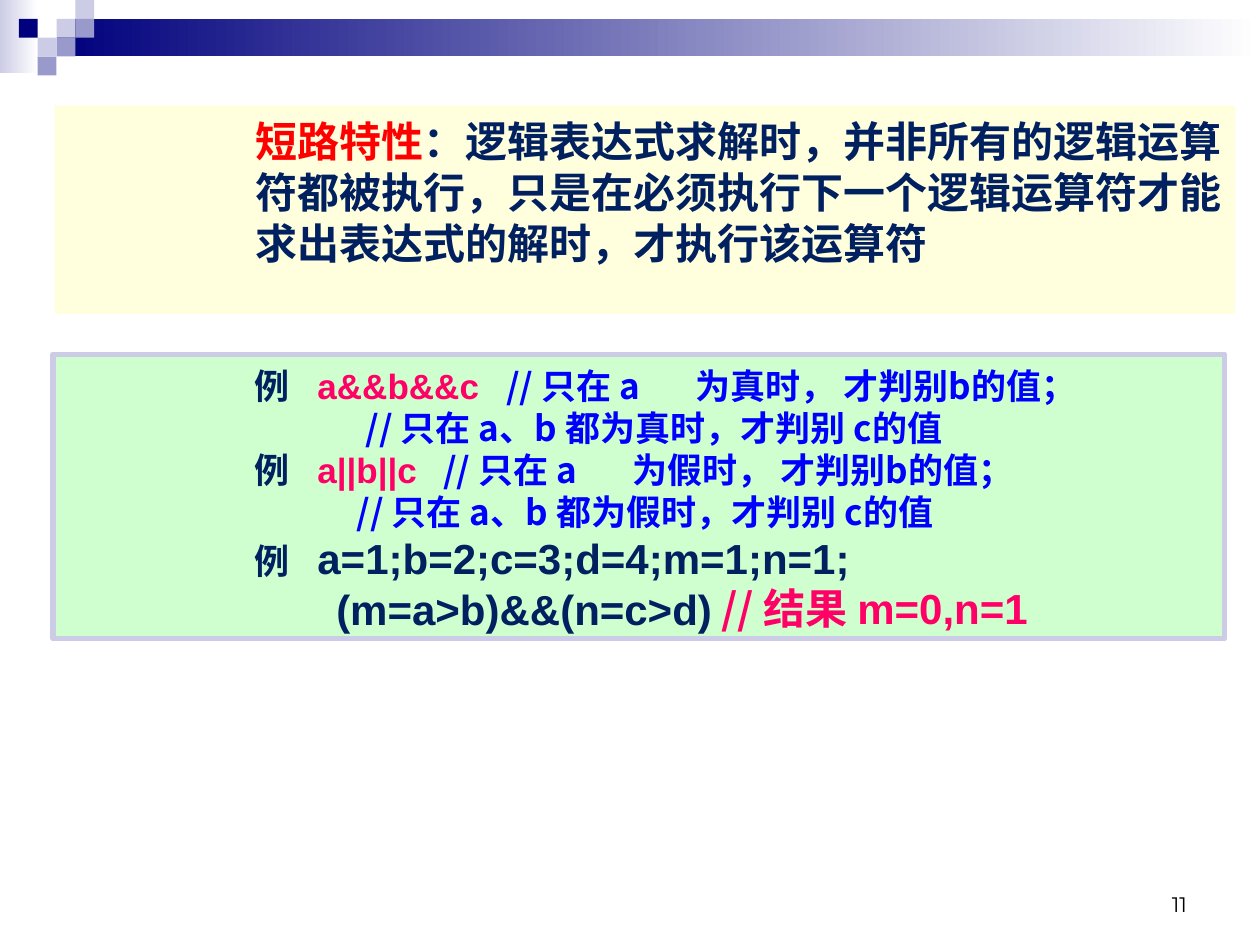
from dataclasses import dataclass

from lxml import etree
from pptx import Presentation
from pptx.dml.color import RGBColor
from pptx.enum.shapes import MSO_SHAPE
from pptx.enum.text import MSO_ANCHOR, PP_ALIGN
from pptx.oxml.ns import qn
from pptx.util import Cm, Pt

RECT = MSO_SHAPE.RECTANGLE
TOP, BOTTOM = MSO_ANCHOR.TOP, MSO_ANCHOR.BOTTOM
LEFT, RIGHT = PP_ALIGN.LEFT, PP_ALIGN.RIGHT


@dataclass(frozen=True)
class Theme:
    navy: str = "00007D"
    lilac: str = "CCCCE6"
    violet: str = "9999CC"
    white: str = "FFFFFF"
    black: str = "000000"
    ink: str = "002060"
    red: str = "FF0000"
    pink: str = "FF0066"
    blue: str = "0000FF"
    yellow: str = "FFFF66"
    green: str = "00FF00"
    cjk: str = "Noto Sans CJK SC"
    code: str = "Arial"
    number: str = "Montserrat"
    large: int = 24
    body: int = 20
    small: int = 12


T = Theme()


def add_rect(slide, x, y, w, h, fill, alpha=None, fade_to=None, line=None):
    """Rectangle in cm; alpha is opacity in percent, fade_to ends a gradient."""
    sp = slide.shapes.add_shape(RECT, Cm(x), Cm(y), Cm(w), Cm(h))
    sp.shadow.inherit = False
    if fade_to:
        sp.fill.gradient()
        sp.fill.gradient_angle = 0
        for stop, color in zip(sp.fill.gradient_stops, (fill, fade_to)):
            stop.color.rgb = RGBColor.from_string(color)
    else:
        sp.fill.solid()
        sp.fill.fore_color.rgb = RGBColor.from_string(fill)
    if alpha:
        clr = sp._element.spPr.find(qn("a:solidFill"))[0]
        etree.SubElement(clr, qn("a:alpha"), val=str(alpha * 1000))
    if line:
        sp.line.color.rgb = RGBColor.from_string(line)
        sp.line.width = Pt(3)
    else:
        sp.line.fill.background()
    return sp


def setup_frame(sp, left=0.25, top=0.2, anchor=TOP):
    tf = sp.text_frame
    tf.word_wrap = True
    tf.vertical_anchor = anchor
    tf.margin_left, tf.margin_right = Cm(left), Cm(0.2)
    tf.margin_top = tf.margin_bottom = Cm(top)
    return tf


def add_text(p, text, font=T.cjk, size=T.body, color=T.ink, bold=True):
    r = p.add_run()
    r.text = text
    r.font.name, r.font.size, r.font.bold = font, Pt(size), bold
    r.font.color.rgb = RGBColor.from_string(color)
    etree.SubElement(r._r.get_or_add_rPr(), qn("a:ea"), typeface=font)


def format_paragraph(p, spacing=None, indent=0, tabs=(), align=LEFT):
    """Spacing is an exact line height in points; indent and tabs are in cm."""
    p.alignment = align
    if spacing:
        p.line_spacing = Pt(spacing)
    pPr = p._p.get_or_add_pPr()
    pPr.set("marL", str(Cm(indent)))
    pPr.set("indent", "0")
    if tabs:
        tab_list = etree.SubElement(pPr, qn("a:tabLst"))
        for pos in tabs:
            etree.SubElement(tab_list, qn("a:tab"), pos=str(Cm(pos)), algn="l")


def add_header(slide, x, y, w, unit=0.38):
    """Fading bars and a checker of squares, on a grid of one unit."""
    add_rect(slide, x, y, 2 * unit, 1.47, T.lilac, fade_to=T.white)
    add_rect(slide, x + 3 * unit, y + unit, w - 3 * unit, 2 * unit,
             T.navy, fade_to=T.white)
    squares = [(3, 1, T.lilac), (4, 0, T.lilac), (4, 1, T.violet), (2, 2, T.lilac),
               (1, 1, T.navy), (3, 2, T.violet), (2, 3, T.violet)]
    for col, row, color in squares:
        add_rect(slide, x + col * unit, y + row * unit, unit, unit, color)


def add_definition(slide, x, y, w, h):
    sp = add_rect(slide, x, y, w, h, T.yellow, alpha=22)
    p = setup_frame(sp, left=4.06).paragraphs[0]
    format_paragraph(p, spacing=29)
    add_text(p, "短路特性", size=T.large, color=T.red)
    add_text(p, "：逻辑表达式求解时，并非所有的逻辑运算符都被执行，"
                "只是在必须执行下一个逻辑运算符才能求出表达式的解时，才执行该运算符",
             size=T.large)


def add_examples(slide, x, y, w, h):
    sp = add_rect(slide, x, y, w, h, T.green, alpha=19, line=T.lilac)
    tf = setup_frame(sp, left=4.06)
    code_tab = 1.17
    rules = [("a&&b&&c", "真", 4.83, 8.86, 2.24),
             ("a||b||c", "假", 4.57, 8.59, 2.06)]
    p = tf.paragraphs[0]
    for code, value, note_tab, value_tab, indent in rules:
        format_paragraph(p, spacing=24, tabs=(code_tab, note_tab, value_tab))
        add_text(p, "例\t")
        add_text(p, f"{code}\t", font=T.code, color=T.pink)
        add_text(p, f"// 只在 a\t为{value}时， 才判别b的值；", color=T.blue)
        p = tf.add_paragraph()
        format_paragraph(p, spacing=24, indent=indent)
        add_text(p, f"// 只在 a、b 都为{value}时，才判别 c的值", color=T.blue)
        p = tf.add_paragraph()

    format_paragraph(p, spacing=29, tabs=(code_tab,))
    add_text(p, "例\t")
    add_text(p, "a=1;b=2;c=3;d=4;m=1;n=1;", font=T.code, size=T.large)
    p = tf.add_paragraph()
    format_paragraph(p, spacing=29, indent=1.65)
    add_text(p, "(m=a>b)&&(n=c>d)", font=T.code, size=T.large)

    result = slide.shapes.add_textbox(Cm(x + 13.23), Cm(y + 4.4), Cm(7.6), Cm(1.3))
    p = setup_frame(result).paragraphs[0]
    format_paragraph(p, spacing=29)
    add_text(p, "// 结果 ", size=T.large, color=T.pink)
    add_text(p, "m=0,n=1", font=T.code, size=T.large, color=T.pink)


def add_page_number(slide, x, y, w, h):
    sp = slide.shapes.add_textbox(Cm(x), Cm(y), Cm(w), Cm(h))
    p = setup_frame(sp, top=0.13, anchor=BOTTOM).paragraphs[0]
    format_paragraph(p, align=RIGHT)
    add_text(p, "11", font=T.number, size=T.small, color=T.black, bold=False)


def main():
    prs = Presentation()
    prs.slide_width, prs.slide_height = Cm(25.4), Cm(19.05)
    slide = prs.slides.add_slide(prs.slide_layouts[6])
    add_header(slide, 0, 0, 25.4)
    add_definition(slide, 1.1, 2.13, 23.8, 4.2)
    add_examples(slide, 1.07, 7.14, 23.62, 5.74)
    add_page_number(slide, 18.2, 17.35, 5.93, 1.27)
    prs.save("out.pptx")


if __name__ == "__main__":
    main()
